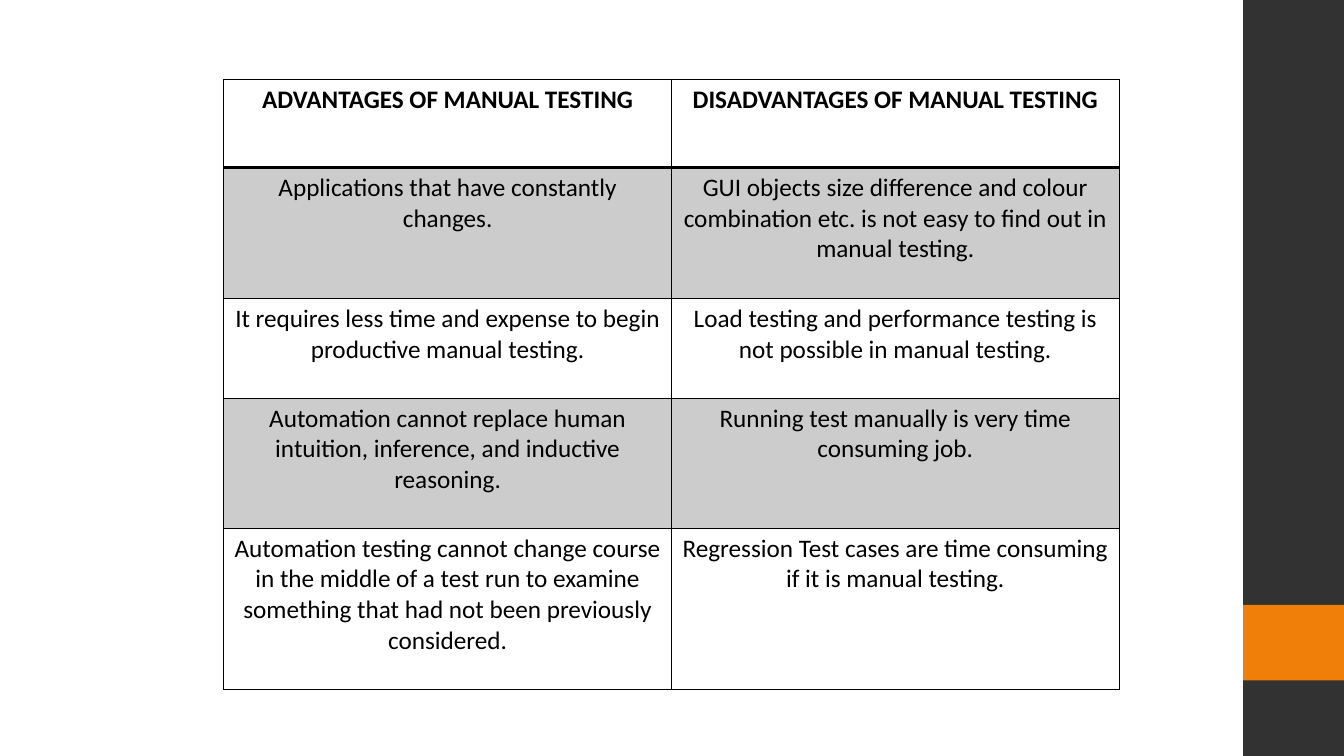
from lxml import etree
from pptx import Presentation
from pptx import util as u
from pptx.dml.color import RGBColor
from pptx.enum import shapes, text
from pptx.oxml import ns

BLACK = RGBColor(0x00, 0x00, 0x00)
CHARCOAL = RGBColor(0x32, 0x32, 0x32)
ORANGE = RGBColor(0xF0, 0x7F, 0x09)

ROWS = [
    ("ADVANTAGES OF MANUAL TESTING", "DISADVANTAGES OF MANUAL TESTING"),
    ("Applications that have constantly changes.",
     "GUI objects size difference and colour combination etc. is not easy "
     "to find out in manual testing."),
    ("It requires less time and expense to begin productive manual testing.",
     "Load testing and performance testing is not possible in manual testing."),
    ("Automation cannot replace human intuition, inference, and inductive "
     "reasoning.",
     "Running test manually is very time consuming job."),
    ("Automation testing cannot change course in the middle of a test run to "
     "examine something that had not been previously considered.",
     "Regression Test cases are time consuming if it is manual testing."),
]
ROW_HEIGHTS = [0.87, 1.3, 0.99, 1.29, 1.6]


class SlideBuilder:
    """Holds the text style and the current slide."""

    font = "Calibri"
    size = u.Pt(18)
    band_alpha = 20

    def __init__(self, s):
        """Keep the slide that receives the elements."""
        self.s = s

    def bar(self, x, y, w, h, color):
        """Add a plain filled rectangle."""
        sp = self.s.shapes.add_shape(
            shapes.MSO_SHAPE.RECTANGLE,
            u.Inches(x), u.Inches(y), u.Inches(w), u.Inches(h))
        sp.shadow.inherit = False
        sp.fill.solid()
        sp.fill.fore_color.rgb = color
        sp.line.fill.background()

    def table(self, x, y, col_width, heights, rows):
        """Add a bordered table with a bold header and shaded odd rows."""
        cols = len(rows[0])
        frame = self.s.shapes.add_table(
            len(rows), cols, u.Inches(x), u.Inches(y),
            u.Inches(col_width * cols), u.Inches(sum(heights)))
        tbl = frame.table
        tbl.horz_banding = False
        for col in tbl.columns:
            col.width = u.Inches(col_width)
        for i, (height, words) in enumerate(zip(heights, rows)):
            tbl.rows[i].height = u.Inches(height)
            for j, word in enumerate(words):
                cell = tbl.cell(i, j)
                self.cell_text(cell, word, bold=i == 0)
                self.cell_borders(cell, top=2 if i == 1 else 1,
                                  bottom=2 if i == 0 else 1)
                self.cell_fill(cell, shaded=i % 2 == 1)

    def cell_text(self, cell, word, bold):
        """Write centred text in the slide's style."""
        cell.text_frame.text = word
        p = cell.text_frame.paragraphs[0]
        p.alignment = text.PP_ALIGN.CENTER
        font = p.runs[0].font
        font.name, font.size, font.bold = self.font, self.size, bold
        font.color.rgb = BLACK

    def cell_borders(self, cell, top, bottom):
        """Draw black lines on all four sides; widths are in points."""
        tc_pr = cell._tc.get_or_add_tcPr()
        for side, width in (("L", 1), ("R", 1), ("T", top), ("B", bottom)):
            ln = etree.SubElement(tc_pr, ns.qn("a:ln" + side),
                                  w=str(u.Pt(width)))
            fill = etree.SubElement(ln, ns.qn("a:solidFill"))
            etree.SubElement(fill, ns.qn("a:srgbClr"), val=str(BLACK))

    def cell_fill(self, cell, shaded):
        """Tint the cell with transparent black, or leave it clear."""
        if not shaded:
            cell.fill.background()
            return
        cell.fill.solid()
        cell.fill.fore_color.rgb = BLACK
        color = cell._tc.tcPr.find(ns.qn("a:solidFill"))[0]
        etree.SubElement(color, ns.qn("a:alpha"),
                         val=str(self.band_alpha * 1000))


def main():
    """Build and save the slide."""
    prs = Presentation()
    prs.slide_width, prs.slide_height = u.Inches(13.33), u.Inches(7.5)
    blank = prs.slide_layouts[6]
    slide = SlideBuilder(prs.slides.add_slide(blank))
    slide.bar(12.33, 0, 1, 7.5, CHARCOAL)
    slide.bar(12.33, 6, 1, 0.75, ORANGE)
    slide.table(2.22, 0.79, 4.44, ROW_HEIGHTS, ROWS)
    prs.save("out.pptx")


main()
